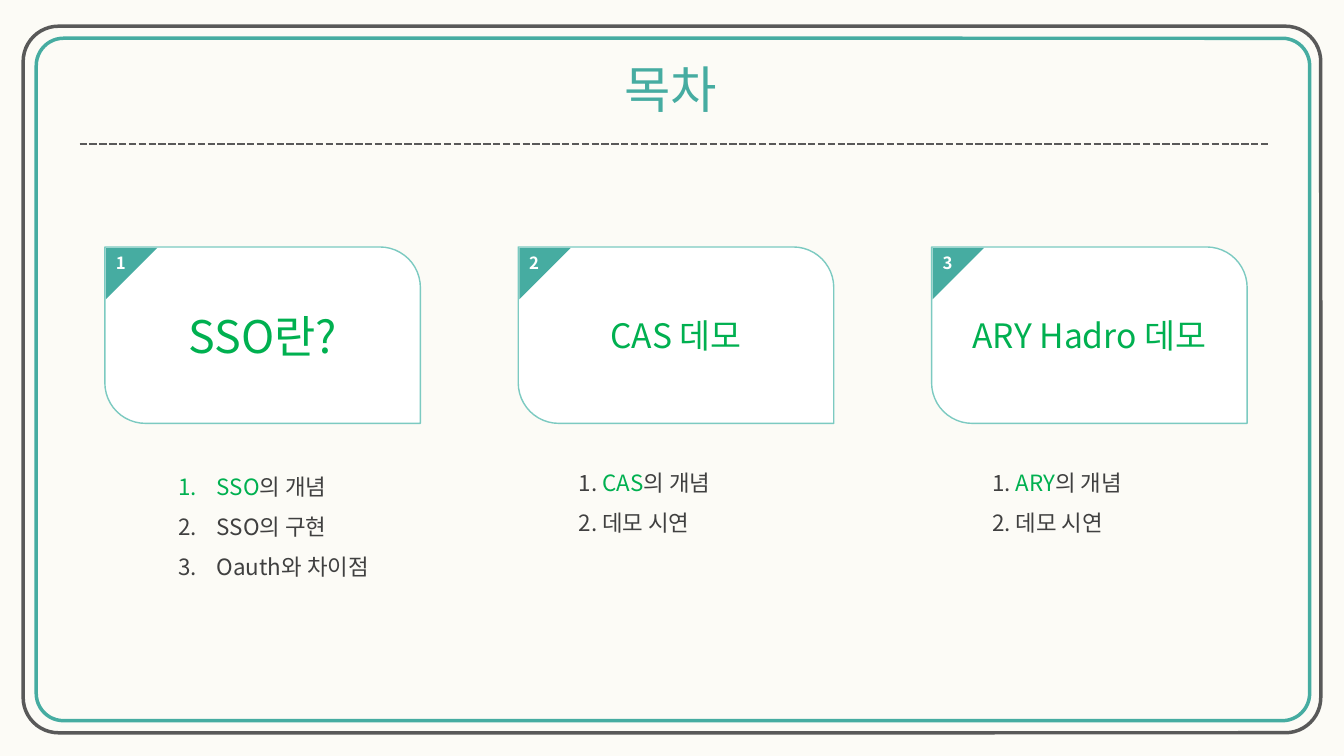
from dataclasses import dataclass

from lxml import etree
from pptx import Presentation
from pptx.dml.color import RGBColor
from pptx.enum.dml import MSO_LINE
from pptx.enum.shapes import MSO_CONNECTOR, MSO_SHAPE
from pptx.enum.text import MSO_ANCHOR, MSO_AUTO_SIZE, PP_ALIGN
from pptx.oxml.ns import qn
from pptx.util import Inches, Pt

TEAL, MINT, GREEN = "46ACA1", "7CCAC1", "00B050"
GREY, INK, WHITE, CREAM = "595959", "404040", "FFFFFF", "FCFBF6"
FONT = "Noto Sans CJK KR"
ROUND, DIAG, CORNER = (MSO_SHAPE.ROUNDED_RECTANGLE,
                       MSO_SHAPE.ROUND_2_DIAG_RECTANGLE,
                       MSO_SHAPE.RIGHT_TRIANGLE)
STRAIGHT, DASH = MSO_CONNECTOR.STRAIGHT, MSO_LINE.SQUARE_DOT
LEFT, CENTER = PP_ALIGN.LEFT, PP_ALIGN.CENTER
TOP, MIDDLE = MSO_ANCHOR.TOP, MSO_ANCHOR.MIDDLE
FIXED = MSO_AUTO_SIZE.NONE

CARD_X, CARD_Y, PITCH = 1.04, 2.45, 4.1

Box = tuple[float, float, float, float]
Line = list[tuple[str, str]]


@dataclass
class Topic:
    title: str
    size: int
    slot: int
    shift: float
    top: float
    height: float
    numbered: bool
    items: list[Line]


TOPICS = [
    Topic("SSO란?", 32, 2, 0.63, 4.51, 1.58, True,
          [[("SSO", GREEN), ("의 개념", INK)],
           [("SSO의 구현", INK)],
           [("Oauth와 차이점", INK)]]),
    Topic("CAS 데모", 24, 1, 0.5, 4.47, 0.86, False,
          [[("1. ", INK), ("CAS", GREEN), ("의 개념", INK)],
           [("2. 데모 시연", INK)]]),
    Topic("ARY Hadro 데모", 24, 3, 0.5, 4.47, 0.86, False,
          [[("1. ", INK), ("ARY", GREEN), ("의 개념", INK)],
           [("2. 데모 시연", INK)]]),
]


def rgb(code: str) -> RGBColor:
    return RGBColor.from_string(code)


def apply(target, values: dict) -> None:
    for name, value in values.items():
        setattr(target, name, value)


def place(shape, box: Box) -> None:
    apply(shape, dict(zip(("left", "top", "width", "height"), map(Inches, box))))


def write(shape, lines: list[Line], size: int, align=LEFT, anchor=TOP,
          bold: bool = False, wrap: bool = True, space: float = 1.0) -> None:
    frame = shape.text_frame
    apply(frame, {"word_wrap": wrap, "auto_size": FIXED,
                  "vertical_anchor": anchor})
    for i, line in enumerate(lines):
        para = frame.add_paragraph() if i else frame.paragraphs[0]
        apply(para, {"alignment": align, "line_spacing": space,
                     "space_before": Pt(0), "space_after": Pt(0)})
        for text, color in line:
            run = para.add_run()
            run.text = text
            apply(run.font, {"name": FONT, "size": Pt(size), "bold": bold})
            run.font.color.rgb = rgb(color)
            east = etree.SubElement(run.font._element, qn("a:ea"))
            east.set("typeface", FONT)


def number(shape, shown: bool) -> None:
    """Set automatic numbers with a hanging indent, or no bullets at all."""
    indent = Inches(0.38) if shown else 0
    for para in shape.text_frame.paragraphs:
        props = para._p.get_or_add_pPr()
        props.set("marL", str(indent))
        props.set("indent", str(-indent))
        if shown:
            bullet = etree.SubElement(props, qn("a:buFont"))
            bullet.set("typeface", "+mj-lt")
            bullet = etree.SubElement(props, qn("a:buAutoNum"))
            bullet.set("type", "arabicPeriod")
        else:
            etree.SubElement(props, qn("a:buNone"))


def draw(shapes, kind, box: Box, fill: str = "", line: str = "",
         width: float = 1, adjust: tuple = ()):
    shape = shapes.add_shape(kind, *map(Inches, box))
    shape.shadow.inherit = False
    for i, value in enumerate(adjust):
        shape.adjustments[i] = value
    if fill:
        shape.fill.solid()
        shape.fill.fore_color.rgb = rgb(fill)
    else:
        shape.fill.background()
    if line:
        shape.line.color.rgb = rgb(line)
        shape.line.width = Pt(width)
    else:
        shape.line.fill.background()
    return shape


def add_card(slide, index: int, topic: Topic) -> None:
    x = CARD_X + index * PITCH
    group = slide.shapes.add_group_shape().shapes
    card = draw(group, DIAG, (x, CARD_Y, 3.13, 1.75), WHITE, MINT,
                adjust=(0, 0.23))
    write(card, [[(topic.title, GREEN)]], topic.size, CENTER, MIDDLE)
    flag = draw(group, CORNER, (x + 0.01, CARD_Y + 0.01, 0.51, 0.51), TEAL)
    flag.rotation = 90
    label = group.add_textbox(*map(Inches, (x + 0.01, CARD_Y + 0.01, 0.37, 0.3)))
    write(label, [[(str(index + 1), WHITE)]], 12, bold=True, wrap=False)

    body = slide.placeholders[topic.slot]
    place(body, (x + topic.shift, topic.top, 2.76, topic.height))
    write(body, topic.items, 16, space=1.5)
    number(body, topic.numbered)


def main() -> None:
    deck = Presentation()
    apply(deck, {"slide_width": Inches(13.33), "slide_height": Inches(7.5)})
    slide = deck.slides.add_slide(deck.slide_layouts.get_by_name("Comparison"))
    slide.background.fill.solid()
    slide.background.fill.fore_color.rgb = rgb(CREAM)

    draw(slide.shapes, ROUND, (0.36, 0.38, 12.63, 6.77), line=TEAL,
         width=2.5, adjust=(0.04,))
    draw(slide.shapes, ROUND, (0.23, 0.26, 12.87, 7.01), line=GREY,
         width=2.5, adjust=(0.05,))

    title = slide.shapes.title
    place(title, (6.05, 0.53, 1.21, 0.71))
    write(title, [[("목차", TEAL)]], 36, CENTER, wrap=False)

    rule = slide.shapes.add_connector(
        STRAIGHT, *map(Inches, (0.79, 1.43, 12.6, 1.43)))
    apply(rule.line, {"width": Pt(1.75), "dash_style": DASH})
    rule.line.color.rgb = rgb(GREY)
    etree.SubElement(rule._element.spPr, qn("a:effectLst"))

    for index, topic in enumerate(TOPICS):
        add_card(slide, index, topic)

    for holder in list(slide.placeholders):
        if not holder.text_frame.text:
            holder._element.getparent().remove(holder._element)
    deck.save("out.pptx")


if __name__ == "__main__":
    main()
